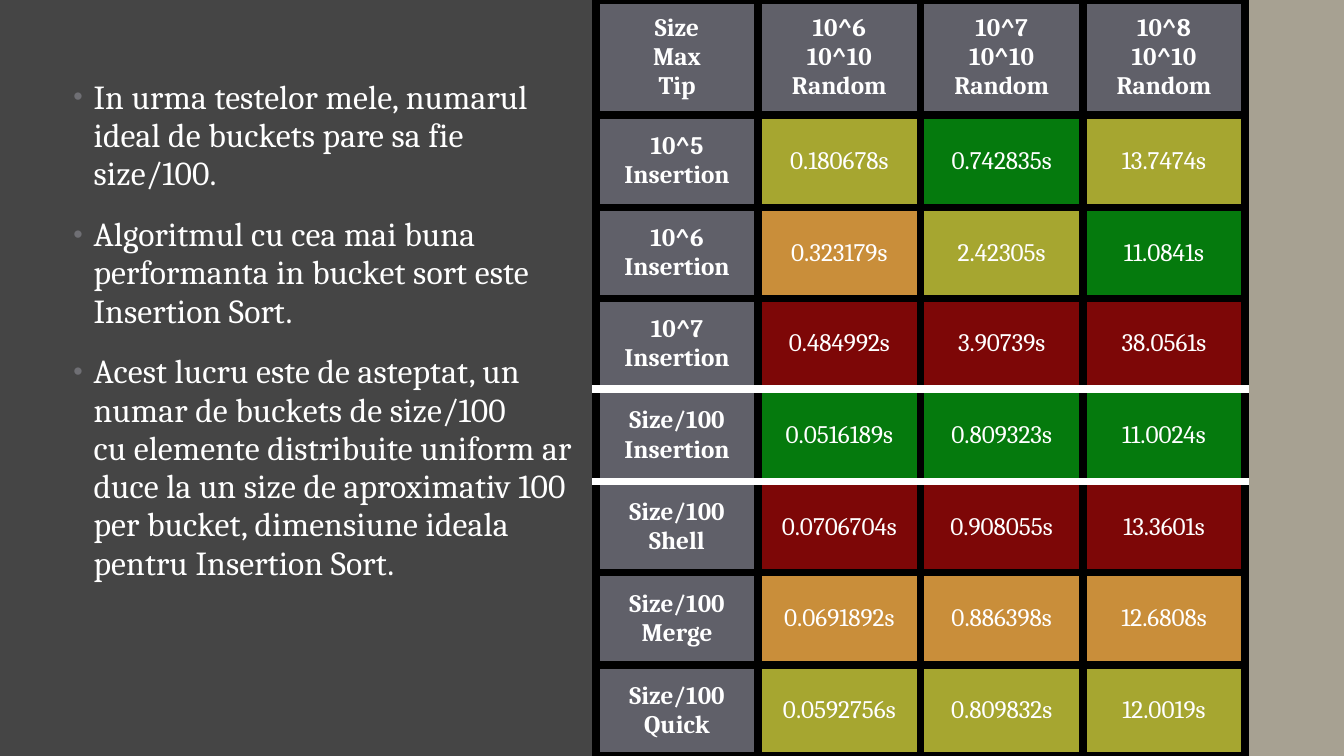
from pptx import Presentation
from pptx.dml.color import RGBColor
from pptx.enum.shapes import MSO_SHAPE
from pptx.enum.text import MSO_ANCHOR, PP_ALIGN
from pptx.oxml import parse_xml
from pptx.oxml.ns import nsdecls
from pptx.util import Inches, Pt

FONT = "Cambria"
WHITE = RGBColor(0xFF, 0xFF, 0xFF)
BLACK = RGBColor(0x00, 0x00, 0x00)
BACKGROUND = RGBColor(0x45, 0x45, 0x45)
STRIPE = RGBColor(0xA7, 0xA1, 0x92)
BULLET = RGBColor(0x6F, 0x6F, 0x74)
HEADING = RGBColor(0x60, 0x60, 0x69)
BEST = RGBColor(0x05, 0x7A, 0x0D)
GOOD = RGBColor(0xA6, 0xA6, 0x30)
FAIR = RGBColor(0xC9, 0x8E, 0x3A)
WORST = RGBColor(0x7D, 0x07, 0x07)

POINTS = [
    "In urma testelor mele, numarul ideal de buckets pare sa fie size/100.",
    "Algoritmul cu cea mai buna performanta in bucket\u00a0sort este Insertion Sort.",
    "Acest lucru este de asteptat, un numar de buckets de size/100 "
    "cu\u00a0elemente distribuite uniform\u00a0ar duce la un\u00a0size de aproximativ 100 "
    "per\u00a0bucket, dimensiune ideala pentru Insertion Sort.",
]
COLUMN_HEADS = ["Size\nMax\nTip"] + [f"10^{power}\n10^10\nRandom" for power in (6, 7, 8)]
RESULTS = [
    ("10^5\nInsertion", ("0.180678s", "0.742835s", "13.7474s"), (GOOD, BEST, GOOD)),
    ("10^6\nInsertion", ("0.323179s", "2.42305s", "11.0841s"), (FAIR, GOOD, BEST)),
    ("10^7\nInsertion", ("0.484992s", "3.90739s", "38.0561s"), (WORST,) * 3),
    ("Size/100\nInsertion", ("0.0516189s", "0.809323s", "11.0024s"), (BEST,) * 3),
    ("Size/100\nShell", ("0.0706704s", "0.908055s", "13.3601s"), (WORST,) * 3),
    ("Size/100\nMerge", ("0.0691892s", "0.886398s", "12.6808s"), (FAIR,) * 3),
    ("Size/100\nQuick", ("0.0592756s", "0.809832s", "12.0019s"), (GOOD,) * 3),
]
WINNER_ROW = 4
COLUMN_WIDTH = 1.61
ROW_HEIGHTS = [1.14, 0.92, 0.9, 0.9, 0.92, 0.9, 0.92, 0.9]


def style_span(span, size, bold=False):
    """Give a run the white slide font."""
    span.font.name = FONT
    span.font.size = Pt(size)
    span.font.bold = bold
    span.font.color.rgb = WHITE


def add_stripe(page, deck):
    """Draw the plain band near the right edge."""
    stripe = page.shapes.add_shape(
        MSO_SHAPE.RECTANGLE, Inches(12.35), 0, Inches(1), deck.slide_height)
    stripe.shadow.inherit = False
    stripe.fill.solid()
    stripe.fill.fore_color.rgb = STRIPE
    stripe.line.fill.background()


def add_bullet(para):
    """Give a paragraph a hanging bullet and its spacing."""
    para.line_spacing = 0.95
    para.space_before = Pt(14)
    para.space_after = Pt(2)
    props = para._p.get_or_add_pPr()
    props.set("marL", str(Inches(0.2)))
    props.set("indent", str(-Inches(0.2)))
    for xml in (f'<a:buClr {nsdecls("a")}><a:srgbClr val="{BULLET}"/></a:buClr>',
                f'<a:buSzPct {nsdecls("a")} val="80000"/>',
                f'<a:buFont {nsdecls("a")} typeface="Arial"/>',
                f'<a:buChar {nsdecls("a")} char="\u2022"/>'):
        props.append(parse_xml(xml))


def add_points(page):
    """Write the conclusions on the left."""
    box = page.shapes.add_textbox(Inches(0.63), Inches(0.73), Inches(5.29), Inches(6.01))
    frame = box.text_frame
    frame.word_wrap = True
    frame.text = "\n".join(POINTS)
    for para in frame.paragraphs:
        add_bullet(para)
        for span in para.runs:
            style_span(span, 24)
            span.font._element.set("spc", "10")


def set_borders(cell, top, bottom):
    """Draw thick borders, black at both sides."""
    props = cell._tc.get_or_add_tcPr()
    for side, colour in (("L", BLACK), ("R", BLACK), ("T", top), ("B", bottom)):
        props.append(parse_xml(
            f'<a:ln{side} {nsdecls("a")} w="{Pt(6)}"><a:solidFill>'
            f'<a:srgbClr val="{colour}"/></a:solidFill></a:ln{side}>'))


def fill_cell(cell, text, colour, row, bold):
    """Write and style one cell; white rules frame the winner row."""
    set_borders(cell,
                WHITE if row in (WINNER_ROW, WINNER_ROW + 1) else BLACK,
                WHITE if row in (WINNER_ROW - 1, WINNER_ROW) else BLACK)
    cell.fill.solid()
    cell.fill.fore_color.rgb = colour
    cell.vertical_anchor = MSO_ANCHOR.MIDDLE
    cell.text_frame.text = text
    for para in cell.text_frame.paragraphs:
        para.alignment = PP_ALIGN.CENTER
        for span in para.runs:
            style_span(span, 18, bold)


def add_results(page):
    """Build the table of running times."""
    rows = [(COLUMN_HEADS, [HEADING] * len(COLUMN_HEADS))]
    rows += [([head, *times], [HEADING, *colours]) for head, times, colours in RESULTS]
    table = page.shapes.add_table(
        len(rows), len(COLUMN_HEADS), Inches(5.91), 0,
        Inches(COLUMN_WIDTH * len(COLUMN_HEADS)), Inches(sum(ROW_HEIGHTS))).table
    for column in table.columns:
        column.width = Inches(COLUMN_WIDTH)
    for row, (texts, colours) in enumerate(rows):
        table.rows[row].height = Inches(ROW_HEIGHTS[row])
        for col, (text, colour) in enumerate(zip(texts, colours)):
            fill_cell(table.cell(row, col), text, colour, row, row == 0 or col == 0)


def main():
    """Build the slide and save it."""
    deck = Presentation()
    deck.slide_width, deck.slide_height = Inches(13.33), Inches(7.5)
    page = deck.slides.add_slide(deck.slide_layouts[6])
    page.background.fill.solid()
    page.background.fill.fore_color.rgb = BACKGROUND
    add_stripe(page, deck)
    add_results(page)
    add_points(page)
    deck.save("out.pptx")


main()
